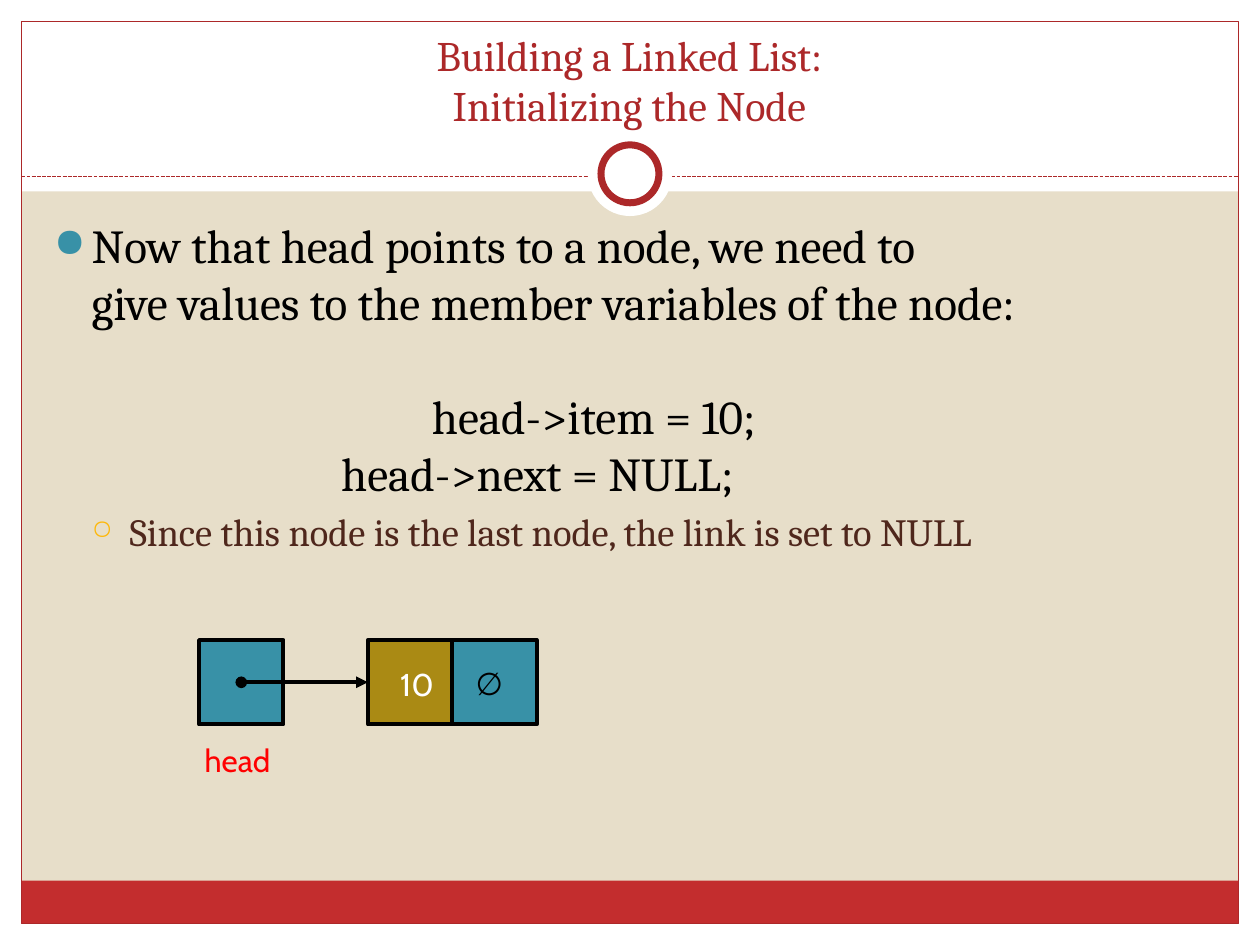
from pptx import Presentation
from pptx.dml.color import RGBColor
from pptx.enum.dml import MSO_LINE
from pptx.enum.shapes import MSO_CONNECTOR as Link, MSO_SHAPE as Kind
from pptx.enum.text import MSO_ANCHOR as Anchor, PP_ALIGN as Align
from pptx.oxml.ns import qn
from pptx.util import Inches, Pt
from lxml.etree import SubElement as Sub

WIDE, HIGH = 10, 7.5
EDGE = 0.17
SAND, WHITE, BLACK = "E7DEC9", "FFFFFF", "000000"
RED, DARK, TEAL, GOLD = "C32D2E", "AC2829", "3891A7", "AA8A14"
SERIF, SANS = "Cambria", "Cabin"

TITLE = "Building a Linked List:\vInitializing the Node"
BODY = [
    dict(text="Now that head points to a node, we need to\v"
              "give values to the member variables of the node:",
         left=0.3, mark=("●", TEAL, 85)),
    dict(text="head->item = 10;", left=3, gap=32.5),
    dict(text="head->next = NULL;", left=2.28),
    dict(text="Since this node is the last node, the link is set to NULL",
         left=0.6, gap=4.4, size=22, color="4F271C", mark=("○", "FEB80A", 70)),
]

CELL, ROW, COL = 0.67, 5.08, 1.58
CELLS = {"next": (3, TEAL), "item": (2, GOLD), "head": (0, TEAL)}
LABELS = [
    ("10", WHITE, 3.07, 5.23, 0.48),
    ("∅", BLACK, 3.67, 5.22, 0.43),
    ("head", "FF0000", 1.51, 5.83, 0.75),
]

deck = Presentation()
deck.slide_width, deck.slide_height = Inches(WIDE), Inches(HIGH)
slide = deck.slides.add_slide(deck.slide_layouts[6])
shapes = slide.shapes


def rgb(code):
    return RGBColor.from_string(code)


def paint(fill, code):
    fill.solid()
    fill.fore_color.rgb = rgb(code)


def draw(kind, x, y, w, h, fill=None, line=None, thick=0.75):
    shape = shapes.add_shape(kind, *map(Inches, (x, y, w, h)))
    shape.shadow.inherit = False
    if fill:
        paint(shape.fill, fill)
    else:
        shape.fill.background()
    if line:
        shape.line.color.rgb = rgb(line)
        shape.line.width = Pt(thick)
    else:
        shape.line.fill.background()
    return shape


def join(x, y, end, color, thick):
    line = shapes.add_connector(Link.STRAIGHT, *map(Inches, (x, y, end, y)))
    line.line.color.rgb = rgb(color)
    line.line.width = Pt(thick)
    Sub(line._element.spPr, qn("a:effectLst"))
    return line


def frame(x, y, w, h, wrap=True):
    text = shapes.add_textbox(*map(Inches, (x, y, w, h))).text_frame
    text.word_wrap = wrap
    return text


def style(para, face, size, color):
    para.font.name = face
    para.font.size = Pt(size)
    para.font.color.rgb = rgb(color)


def bullet(para, left, mark):
    props = para._p.get_or_add_pPr()
    props.set("marL", str(Inches(left)))
    props.set("indent", str(Inches(-0.3 if mark else 0)))
    if not mark:
        Sub(props, qn("a:buNone"))
        return
    sign, color, size = mark
    Sub(Sub(props, qn("a:buClr")), qn("a:srgbClr"), val=color)
    Sub(props, qn("a:buSzPct"), val=str(size * 1000))
    Sub(props, qn("a:buChar"), char=sign)


def ring(size, **look):
    draw(Kind.OVAL, (WIDE - size) / 2, 1.38 - size / 2, size, size, **look)


paint(slide.background.fill, SAND)
inner = WIDE - 2 * EDGE
for box in [(0, HIGH - EDGE, WIDE, EDGE), (0, 0, WIDE, 1.52),
            (0, 0, EDGE, HIGH), (WIDE - EDGE, 0, EDGE, HIGH)]:
    draw(Kind.RECTANGLE, *box, fill=WHITE)
draw(Kind.RECTANGLE, EDGE, 6.99, inner, 0.34, fill=RED)
draw(Kind.RECTANGLE, EDGE, EDGE, inner, HIGH - 2 * EDGE, line=DARK)
rule = join(EDGE, 1.4, WIDE - EDGE, DARK, 0.75)
rule.line.dash_style = MSO_LINE.SQUARE_DOT
ring(0.67, fill=WHITE)
ring(0.46, fill=WHITE, line=DARK, thick=4)

head = frame(0.33, 0.25, 9.33, 0.83)
head.vertical_anchor = Anchor.BOTTOM
para = head.paragraphs[0]
para.text, para.alignment = TITLE, Align.CENTER
style(para, SERIF, 24, DARK)

body = frame(0.33, 1.67, 9.3, 5)
for i, item in enumerate(BODY):
    para = body.add_paragraph() if i else body.paragraphs[0]
    para.text = item["text"]
    if "gap" in item:
        para.space_before = Pt(item["gap"])
    bullet(para, item["left"], item.get("mark"))
    style(para, SERIF, item.get("size", 27), item.get("color", BLACK))

cells = {name: draw(Kind.RECTANGLE, COL + n * CELL, ROW, CELL, CELL, fill, BLACK, 2.25)
         for name, (n, fill) in CELLS.items()}
arrow = join(COL + CELL / 2, ROW + CELL / 2, COL + 2 * CELL, BLACK, 2.25)
arrow.end_connect(cells["item"], 1)
ends = arrow.line._get_or_add_ln()
Sub(ends, qn("a:headEnd"), type="oval")
Sub(ends, qn("a:tailEnd"), type="triangle")

for text, color, x, y, w in LABELS:
    para = frame(x, y, w, 0.4, wrap=False).paragraphs[0]
    para.text, para.alignment = text, Align.CENTER
    style(para, SANS, 18, color)

deck.save("out.pptx")
